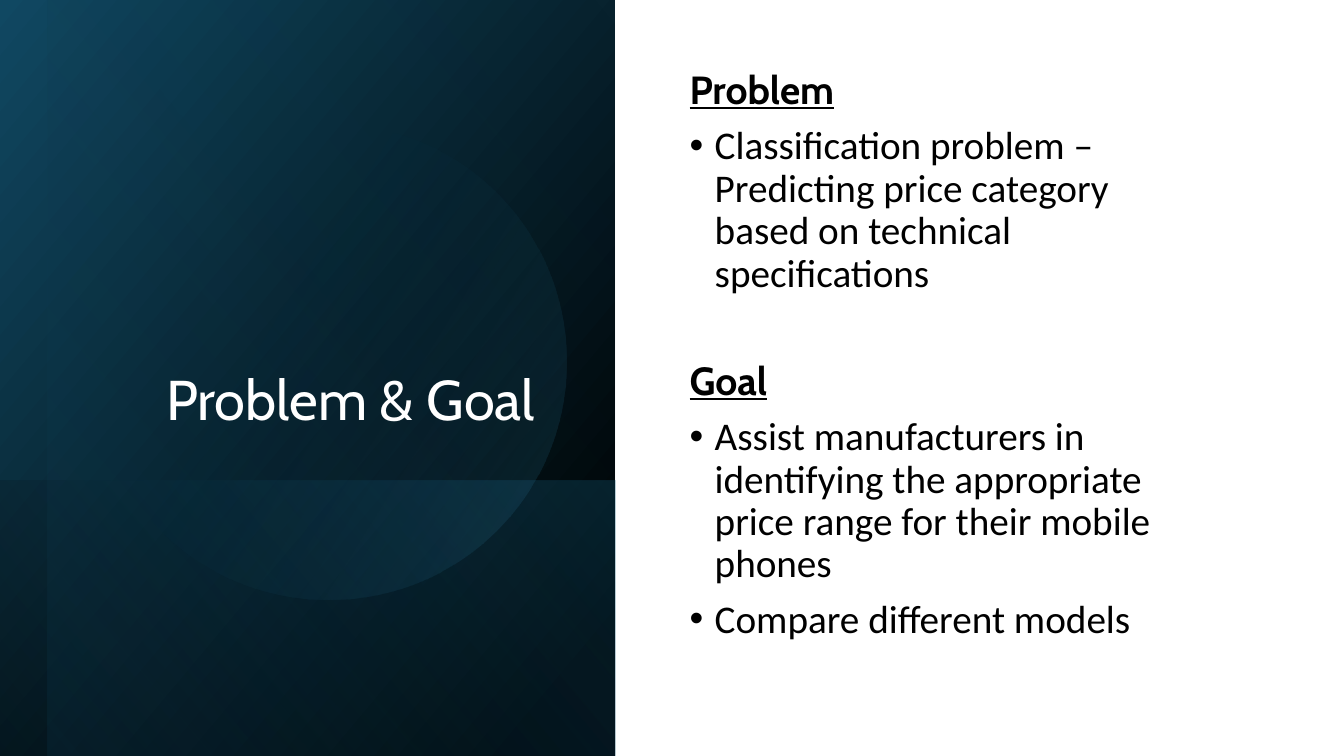
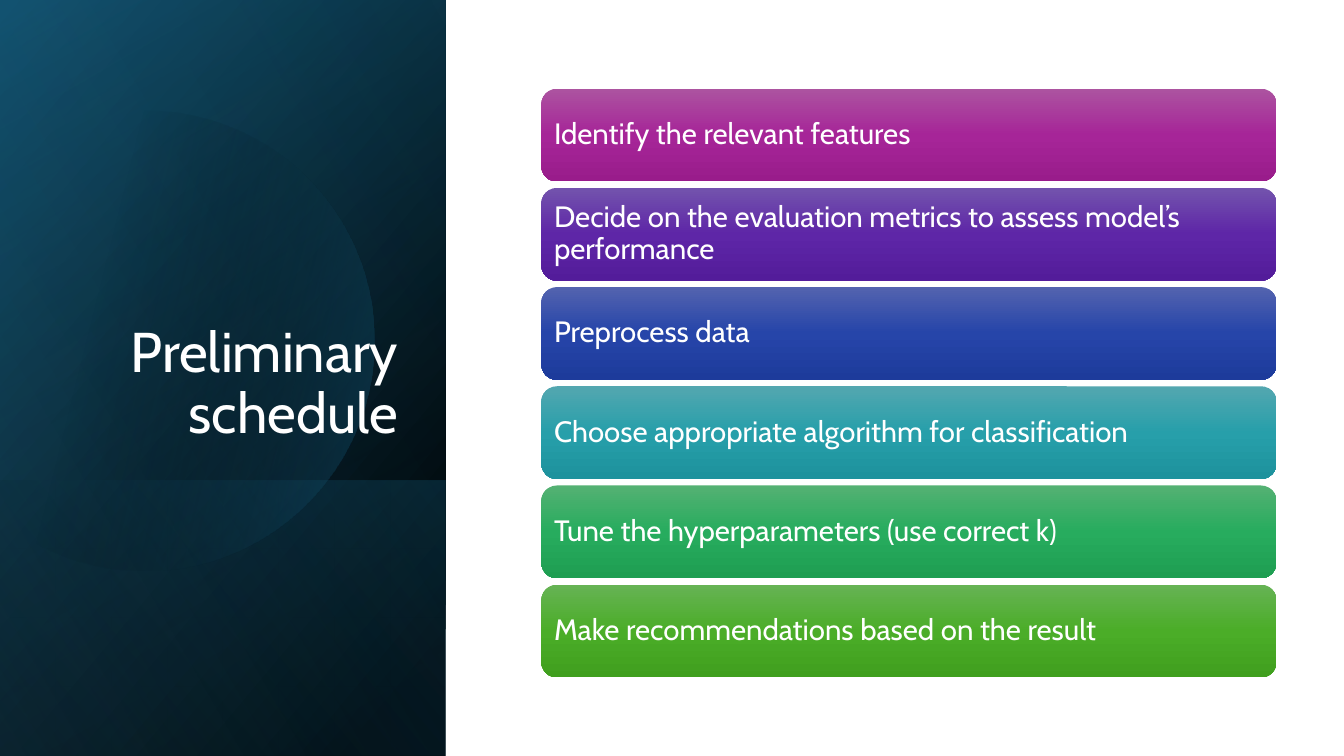
from math import acos, cos, pi, sin, tan

from pptx import Presentation
from pptx.dml.color import RGBColor
from pptx.enum import shapes, text
from pptx.oxml import parse_xml
from pptx.oxml.ns import nsdecls, qn
from pptx.util import Inches, Pt

HEADING_FONT, BODY_FONT = "Cabin", "Calibri"
WHITE, BLACK, TEAL, NAVY, SKY = "FFFFFF", "000000", "156082", "104862", "46B1E1"
SLIDE_HEIGHT = 7.5
BAND_TOP = 4.77


def paint(shape, stops, angle):
    """Fill with (position %, hex colour, opacity %) stops; no line, no shadow."""
    shape.shadow.inherit = False
    shape.line.fill.background()
    shape.fill.background()
    stop_xml = "".join(
        f'<a:gs pos="{pos * 1000}"><a:srgbClr val="{color}">'
        f'<a:alpha val="{opacity * 1000}"/></a:srgbClr></a:gs>'
        for pos, color, opacity in stops)
    properties = shape.element.spPr
    properties.replace(properties.find(qn("a:noFill")), parse_xml(
        f'<a:gradFill {nsdecls("a")} rotWithShape="1"><a:gsLst>{stop_xml}</a:gsLst>'
        f'<a:lin ang="{angle * 60000}" scaled="0"/></a:gradFill>'))


def add_run(paragraph, words, size, font, color):
    paragraph.line_spacing = 0.9
    run = paragraph.add_run()
    run.text = words
    run.font.size = Pt(size)
    run.font.name = font
    run.font.color.rgb = RGBColor.from_string(color)
    return run


prs = Presentation()
prs.slide_width, prs.slide_height = Inches(13.33), Inches(SLIDE_HEIGHT)

# Dark side panel and title, shared by both slides
BASE = (0, [(8, BLACK, 100), (100, NAVY, 100)], 220)
BAND = (BAND_TOP, [(2, TEAL, 29), (100, BLACK, 30)], 140)
sections = [
    ("Problem & Goal ", (0.9, 0.64, 4.63, 3.7), [
        (0, 6.1, *BASE),
        (0, 6.1, *BAND),
        (0.47, 5.63, 0, [(0, BLACK, 0), (99, TEAL, 11)], 140)]),
    ("Preliminary schedule", (0.64, 1.85, 3.41, 2.62), [
        (0, 4.42, *BASE),
        (0, 4.42, 0, [(0, BLACK, 0), (99, TEAL, 46)], 240),
        (0, 4.42, *BAND),
        (0, 4.42, 0, [(0, BLACK, 0), (99, SKY, 11)], 150)]),
]
slides = []
for heading, title_box, layers in sections:
    slide = prs.slides.add_slide(prs.slide_layouts[5])
    slides.append(slide)
    for left, width, top, stops, angle in layers:
        panel = slide.shapes.add_shape(
            shapes.MSO_SHAPE.RECTANGLE, Inches(left), Inches(top),
            Inches(width), Inches(SLIDE_HEIGHT - top))
        paint(panel, stops, angle)

    title = slide.shapes.title
    title.left, title.top, title.width, title.height = map(Inches, title_box)
    title.text_frame.word_wrap = True
    title.text_frame.auto_size = text.MSO_AUTO_SIZE.NONE
    title.text_frame.vertical_anchor = text.MSO_ANCHOR.BOTTOM
    title_line = title.text_frame.paragraphs[0]
    title_line.alignment = text.PP_ALIGN.RIGHT
    add_run(title_line, heading, 40, HEADING_FONT, WHITE)

problem_slide, schedule_slide = slides

# Slide 1: circle, then problem and goal
circle = problem_slide.shapes.add_shape(
    shapes.MSO_SHAPE.OVAL, Inches(0.9), Inches(1.23), Inches(4.72), Inches(4.72))
paint(circle, [(39, TEAL, 0), (100, SKY, 15)], 32)

topics = [
    ("Problem", 0, ["Classification problem – Predicting price category based on "
                    "technical specifications"]),
    ("Goal", 47, ["Assist manufacturers in identifying the appropriate price range "
                  "for their mobile phones",
                  "Compare different models"]),
]
body = problem_slide.shapes.add_textbox(
    Inches(6.74), Inches(0.65), Inches(5.32), Inches(5.8)).text_frame
body.word_wrap = True
for topic, gap_above, points in topics:
    topic_line = body.paragraphs[0] if gap_above == 0 else body.add_paragraph()
    topic_line.space_before = Pt(gap_above)
    topic_run = add_run(topic_line, topic, 28, HEADING_FONT, BLACK)
    topic_run.font.bold = topic_run.font.underline = True
    for point in points:
        point_line = body.add_paragraph()
        point_line.space_before = Pt(9.5)
        add_run(point_line, point, 28, BODY_FONT, BLACK)
        indent = point_line._p.get_or_add_pPr()
        indent.set("marL", str(Inches(0.25)))
        indent.set("indent", str(Inches(-0.25)))
        indent.append(parse_xml(f'<a:buFont {nsdecls("a")} typeface="Arial"/>'))
        indent.append(parse_xml(f'<a:buChar {nsdecls("a")} char="•"/>'))

# Slide 2: circle cut off by the left slide edge, as Bézier arcs
CENTER_X, CENTER_Y, RADIUS = 1.43, 3.38, 2.28
edge_angle = acos(-CENTER_X / RADIUS)
turns = [-edge_angle, -pi / 2, 0, pi / 2, edge_angle]
arc = [(CENTER_X + RADIUS * cos(turns[0]), CENTER_Y + RADIUS * sin(turns[0]))]
for start, end in zip(turns, turns[1:]):
    handle = 4 / 3 * tan((end - start) / 4)
    for turn, reach in ((start, handle), (end, -handle), (end, 0)):
        arc.append((CENTER_X + RADIUS * (cos(turn) - reach * sin(turn)),
                    CENTER_Y + RADIUS * (sin(turn) + reach * cos(turn))))
arc = [(Inches(x), Inches(y)) for x, y in arc]
builder = schedule_slide.shapes.build_freeform(*arc[0])
builder.add_line_segments(arc[1:], close=False)
cut_circle = builder.convert_to_shape()
outline = next(cut_circle.element.iter(qn("a:custGeom"))).find(".//" + qn("a:path"))
segments = outline.findall(qn("a:lnTo"))
for first in range(0, len(segments), 3):
    curve = parse_xml(f'<a:cubicBezTo {nsdecls("a")}/>')
    segments[first].addprevious(curve)
    for segment in segments[first:first + 3]:
        curve.append(segment[0])
        outline.remove(segment)
outline.append(parse_xml(f'<a:close {nsdecls("a")}/>'))
paint(cut_circle, [(29, BLACK, 0), (100, TEAL, 43)], 14)

# Slide 2: steps
steps = [
    ("Identify the relevant features", "AC53A0", "A62598", "991C8B"),
    ("Decide on the evaluation metrics to assess model’s performance",
     "7353AD", "5E26A7", "531C9A"),
    ("Preprocess data", "5363AF", "2645A9", "1D3B9B"),
    ("Choose appropriate algorithm for classification", "53A7B0", "279FAA", "1D929D"),
    ("Tune the hyperparameters (use correct k)", "54B173", "27AC5E", "1E9E52"),
    ("Make recommendations based on the result", "66B354", "4BAD28", "409F1E"),
]
FIRST_TOP, LAST_TOP = 0.88, 5.8
pitch = (LAST_TOP - FIRST_TOP) / (len(steps) - 1)
for row, (task, light, middle, dark) in enumerate(steps):
    card = schedule_slide.shapes.add_shape(
        shapes.MSO_SHAPE.ROUNDED_RECTANGLE, Inches(5.37), Inches(FIRST_TOP + pitch * row),
        Inches(7.29), Inches(0.92))
    paint(card, [(0, light, 100), (50, middle, 100), (100, dark, 100)], 90)
    label = card.text_frame
    label.word_wrap = True
    label.vertical_anchor = text.MSO_ANCHOR.MIDDLE
    label.margin_left = label.margin_right = Inches(0.08)
    task_line = label.paragraphs[0]
    task_line.alignment = text.PP_ALIGN.LEFT
    add_run(task_line, task, 21, HEADING_FONT, WHITE)

# Titles lie in front of the panels
for slide in slides:
    slide.shapes._spTree.append(slide.shapes.title.element)

prs.save("out.pptx")
